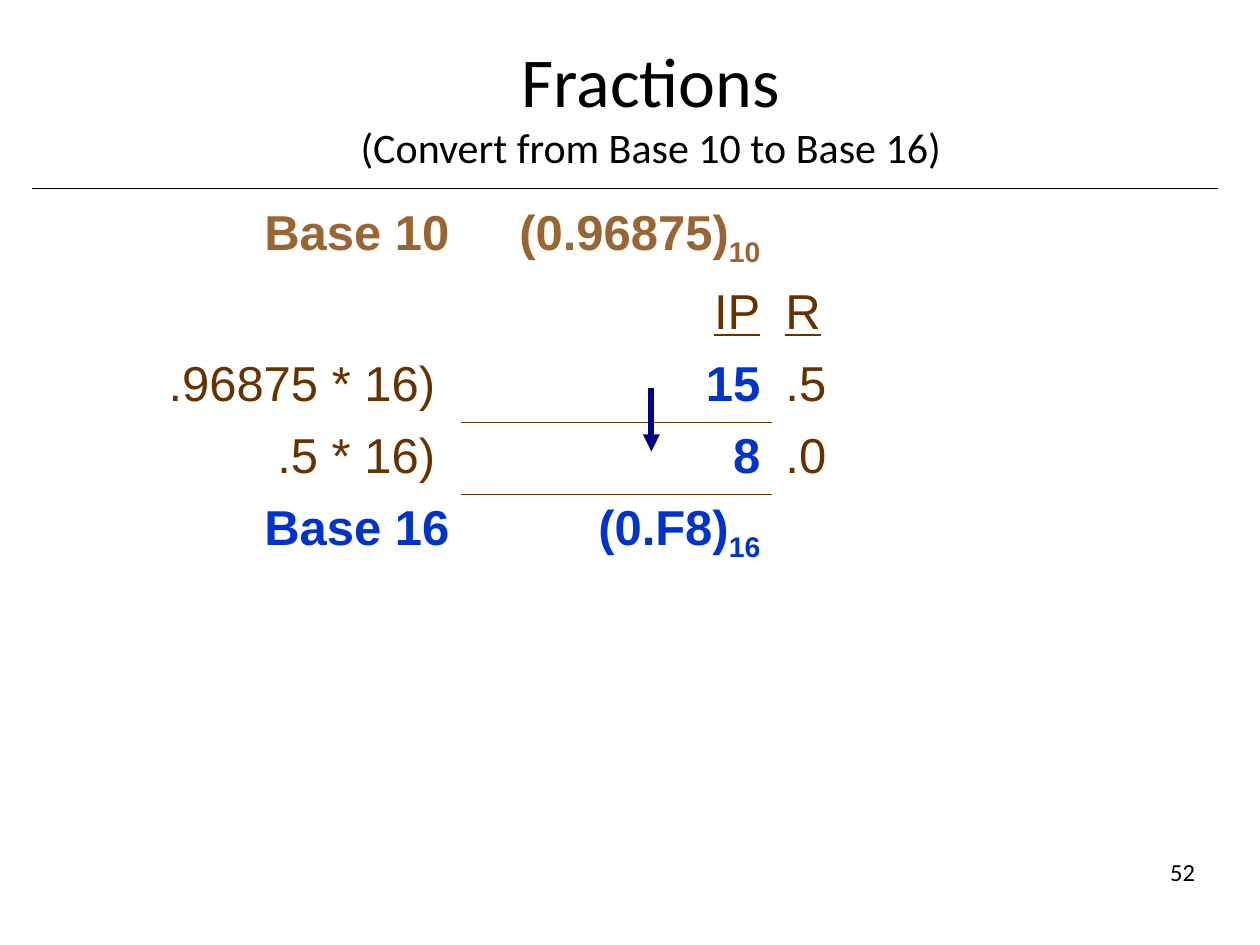
from lxml import etree
from pptx import Presentation
from pptx.dml.color import RGBColor
from pptx.enum import shapes, text
from pptx.oxml import ns
from pptx.util import Cm, Pt

COLORS = {"black": "000000", "tan": "996633", "brown": "663300",
          "blue": "0033CC", "navy": "000080"}
HEADING = [("Fractions", 40), ("(Convert from Base 10 to Base 16)", 24)]
PAGE = "52"
STYLES = {
    "source": {"color": "tan", "bold": True},
    "source_sub": {"color": "tan", "bold": True, "sub": True},
    "head": {"color": "brown", "underline": True},
    "step": {"color": "brown"},
    "result": {"color": "blue", "bold": True},
    "result_sub": {"color": "blue", "bold": True, "sub": True},
}
CONVERSION = [
    ([("Base 10", "source")], [("(0.96875)", "source"), ("10", "source_sub")], []),
    ([], [("IP", "head")], [("R", "head")]),
    ([(".96875 * 16)", "step")], [("15", "result")], [(".5", "step")]),
    ([(".5 * 16)", "step")], [("8", "result")], [(".0", "step")]),
    ([("Base 16", "result")], [("(0.F8)", "result"), ("16", "result_sub")], []),
]
COLUMN_WIDTHS = [6.14, 6.27, 9.19]
ROW_HEIGHTS = [1.6, 1.45, 1.45, 1.45, 1.6]
STEP_ROWS = (2, 3)
IP_COLUMN = 1
RULED = {(row + below, IP_COLUMN, side) for row in STEP_ROWS
         for below, side in ((0, "lnB"), (1, "lnT"))}


def rgb(name):
    return RGBColor.from_string(COLORS[name])


def add_run(paragraph, wording, size, font="Calibri", color="black",
            bold=False, underline=False, sub=False):
    run = paragraph.add_run()
    run.text = wording
    run.font.name, run.font.size = font, Pt(size)
    run.font.bold, run.font.underline = bold, underline
    run.font.color.rgb = rgb(color)
    if sub:
        run.font._element.set("baseline", "-25000")


def add_line(slide, start, end, color, width):
    line = slide.shapes.add_connector(
        shapes.MSO_CONNECTOR.STRAIGHT, *(Cm(v) for v in start + end))
    line.line.color.rgb = rgb(color)
    line.line.width = Pt(width)
    etree.SubElement(line._element.spPr, ns.qn("a:effectLst"))
    return line


def add_border(cell, side):
    border = etree.SubElement(cell._tc.get_or_add_tcPr(), ns.qn(f"a:{side}"),
                              w=str(Pt(0.45)))
    fill = etree.SubElement(border, ns.qn("a:solidFill"))
    etree.SubElement(fill, ns.qn("a:srgbClr"), val=COLORS["brown"])


def add_heading(slide):
    title = slide.shapes.title
    title.left, title.top, title.width, title.height = (
        Cm(v) for v in (2.11, 0.42, 22.02, 3.17))
    frame = title.text_frame
    frame.vertical_anchor = text.MSO_ANCHOR.BOTTOM
    frame.auto_size = text.MSO_AUTO_SIZE.NONE
    paragraph = frame.paragraphs[0]
    paragraph.alignment = text.PP_ALIGN.CENTER
    for index, (wording, size) in enumerate(HEADING):
        if index:
            paragraph.add_line_break()
        add_run(paragraph, wording, size)


def add_page_number(slide):
    number = slide.shapes.add_textbox(Cm(19.05), Cm(17.15), Cm(5.29), Cm(1.27))
    number.text_frame.word_wrap = True
    paragraph = number.text_frame.paragraphs[0]
    paragraph.alignment = text.PP_ALIGN.RIGHT
    add_run(paragraph, PAGE, 14)


def add_conversion(slide):
    table = slide.shapes.add_table(
        len(ROW_HEIGHTS), len(COLUMN_WIDTHS), Cm(3.17), Cm(4.02),
        Cm(sum(COLUMN_WIDTHS)), Cm(sum(ROW_HEIGHTS))).table
    table.first_row = table.horz_banding = False
    for column, width in zip(table.columns, COLUMN_WIDTHS):
        column.width = Cm(width)
    for r, (row, height) in enumerate(zip(table.rows, ROW_HEIGHTS)):
        row.height = Cm(height)
        for c, runs in enumerate(CONVERSION[r]):
            cell = table.cell(r, c)
            for side in ("lnT", "lnB"):
                if (r, c, side) in RULED:
                    add_border(cell, side)
            cell.fill.background()
            if r in STEP_ROWS and c == 0:
                cell.margin_left, cell.margin_right = Cm(0), Cm(0.54)
            paragraph = cell.text_frame.paragraphs[0]
            paragraph.alignment = (text.PP_ALIGN.RIGHT if c <= IP_COLUMN
                                   else text.PP_ALIGN.LEFT)
            for wording, style in runs:
                add_run(paragraph, wording, 28, "Arial", **STYLES[style])


def main():
    """Build the slide on converting a fraction from base 10 to base 16."""
    deck = Presentation()
    deck.slide_width, deck.slide_height = Cm(25.4), Cm(19.05)
    slide = deck.slides.add_slide(deck.slide_layouts[5])
    add_line(slide, (0.64, 3.8), (24.56, 3.8), "black", 0.5)
    add_heading(slide)
    add_page_number(slide)
    add_conversion(slide)
    reading_order = add_line(slide, (13.13, 7.83), (13.13, 9.1), "navy", 3.25)
    etree.SubElement(reading_order.line._get_or_add_ln(), ns.qn("a:tailEnd"),
                     type="triangle")
    deck.save("out.pptx")


if __name__ == "__main__":
    main()
